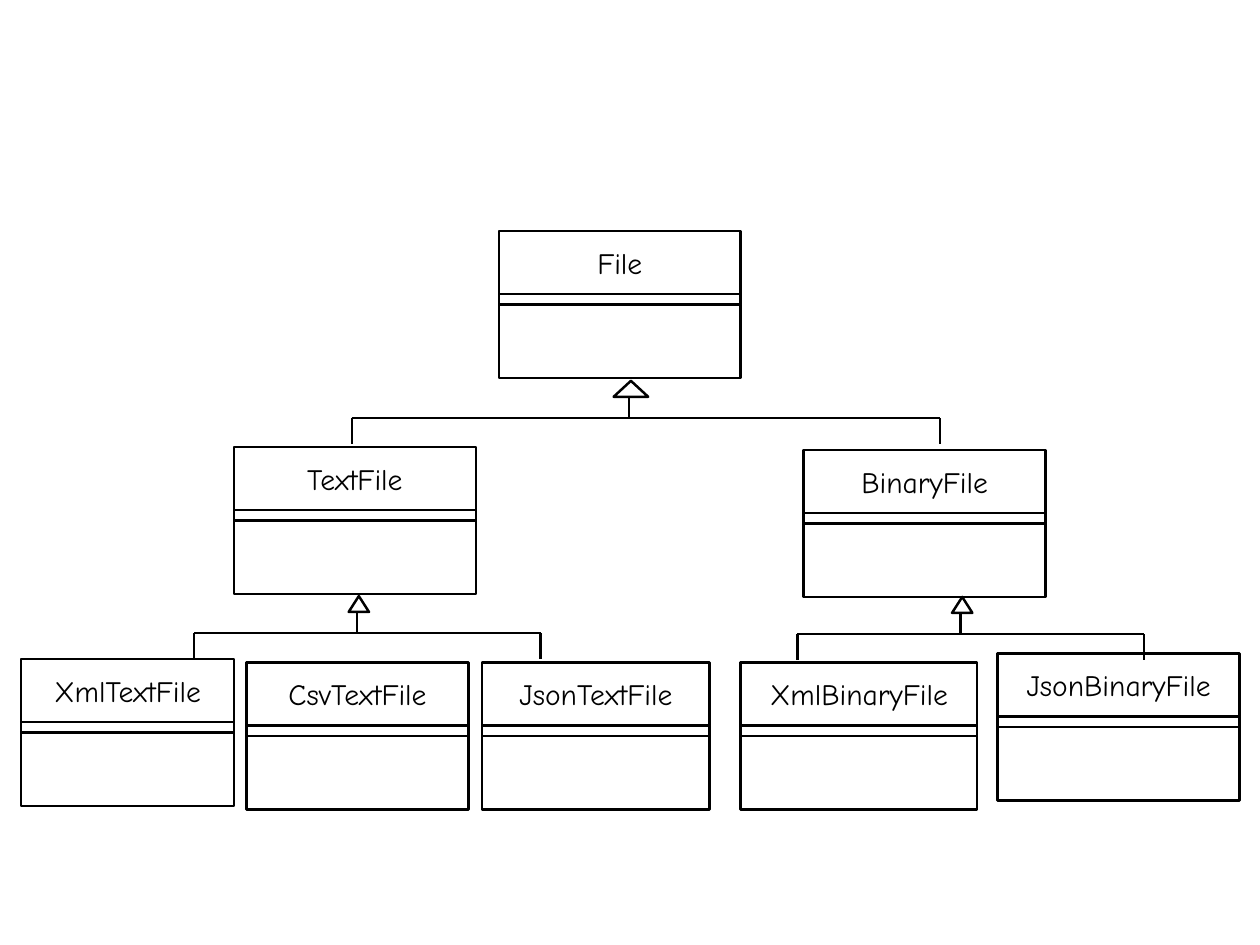
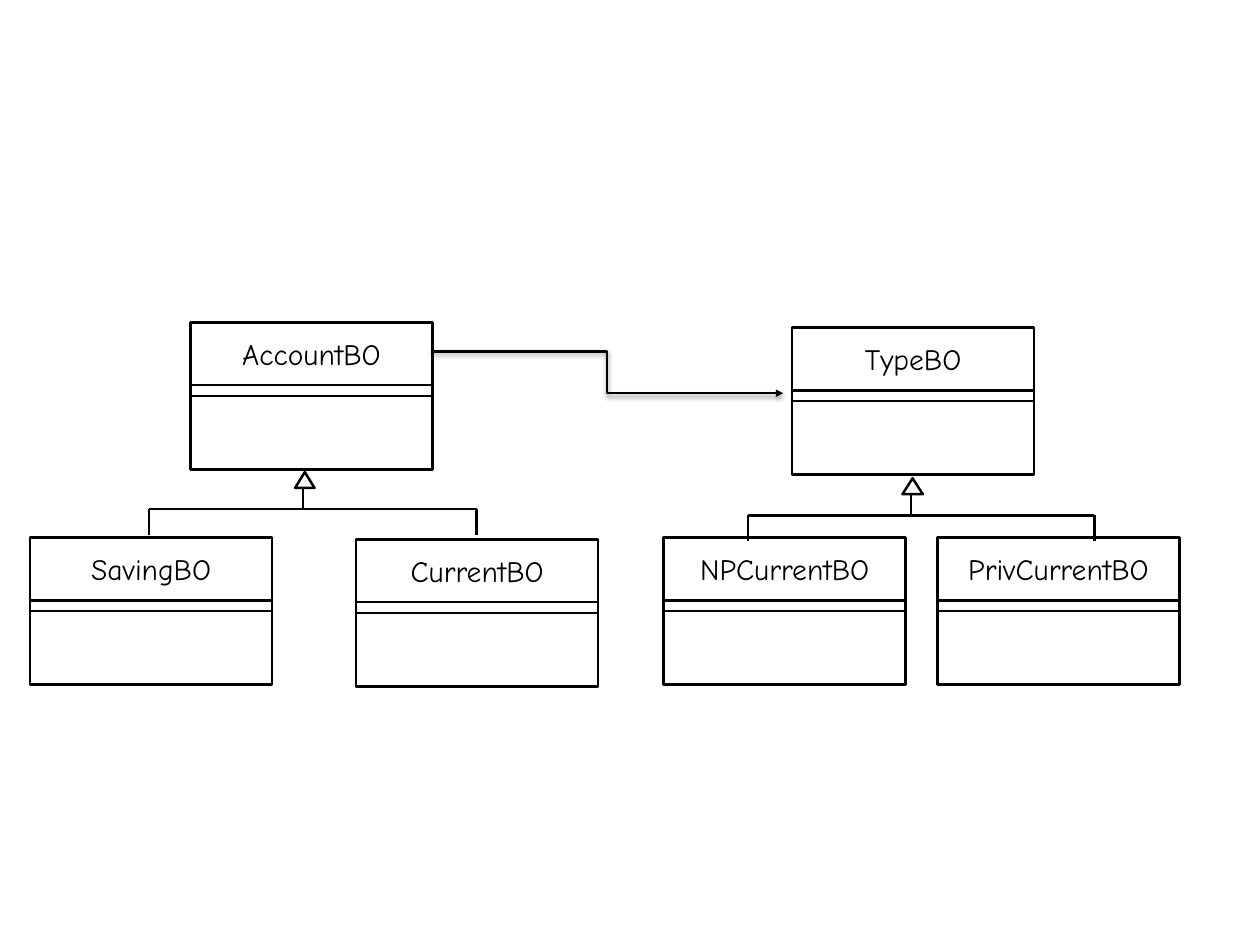
from dataclasses import dataclass

from lxml import etree
from pptx import Presentation
from pptx import util as u
from pptx.dml.color import RGBColor
from pptx.enum import shapes, text
from pptx.oxml.ns import qn


@dataclass(frozen=True)
class Theme:
    ink: RGBColor = RGBColor(0, 0, 0)
    paper: RGBColor = RGBColor(255, 255, 255)
    font: str = "Comic Neue"
    size: int = 24
    line: int = 2


# Content: lengths in px, 100 px to the inch
# classes: name, left, top, width
# forks: left end, right end, bar height, stem x, arrowhead width
# links: from x, from y, to x, to y
W, H = 1422, 1067
BOX_W = 273
SLIDES = [
    {
        "classes": [
            ("File", 563, 261, BOX_W),
            ("TextFile", 264, 505, BOX_W),
            ("BinaryFile", 907, 508, BOX_W),
            ("XmlTextFile", 24, 744, 240),
            ("CsvTextFile", 278, 748, 251),
            ("JsonTextFile", 544, 748, 257),
            ("XmlBinaryFile", 836, 748, 267),
            ("JsonBinaryFile", 1126, 738, BOX_W),
        ],
        "forks": [
            (397, 1061, 472, 710, 39),
            (219, 610, 715, 403, 23),
            (900, 1291, 716, 1084, 23),
        ],
        "links": [],
    },
    {
        "classes": [
            ("AccountBO", 215, 364, BOX_W),
            ("TypeBO", 894, 370, BOX_W),
            ("SavingBO", 34, 607, BOX_W),
            ("CurrentBO", 402, 609, BOX_W),
            ("NPCurrentBO", 749, 607, BOX_W),
            ("PrivCurrentBO", 1058, 607, BOX_W),
        ],
        "forks": [
            (168, 538, 575, 342, 22),
            (844, 1235, 582, 1028, 23),
        ],
        "links": [(486, 397, 884, 444)],
    },
]

# Parts of a class box from top to bottom, and of an inheritance fork
NAME_H, FIELDS_H, METHODS_H = 71, 12, 83
DROP, STEM, HEAD_H, HEAD_SHIFT = 29, 24, 18, 2
INSET = 7
T = Theme()


def px(n):
    return u.Emu(round(n * 9144))


def outline(sp):
    sp.line.color.rgb = T.ink
    sp.line.width = u.Pt(T.line)


def add_outlined(parent, kind, x, y, w, h):
    sp = parent.shapes.add_shape(kind, px(x), px(y), px(w), px(h))
    sp.shadow.inherit = False
    sp.fill.solid()
    sp.fill.fore_color.rgb = T.paper
    outline(sp)
    return sp


def add_line(parent, x1, y1, x2, y2, kind=shapes.MSO_CONNECTOR.STRAIGHT):
    cn = parent.shapes.add_connector(kind, px(x1), px(y1), px(x2), px(y2))
    outline(cn)
    effects = etree.SubElement(cn._element.spPr, qn("a:effectLst"))
    return cn, effects


def add_class(s, name, x, y, w):
    box = s.shapes.add_group_shape()
    for h, label in ((NAME_H, name), (FIELDS_H, ""), (METHODS_H, "")):
        sp = add_outlined(box, shapes.MSO_SHAPE.RECTANGLE, x, y, w, h)
        if label:
            write_name(sp.text_frame, label)
        y += h


def write_name(tf, label):
    tf.text = label
    tf.word_wrap = True
    tf.vertical_anchor = text.MSO_ANCHOR.MIDDLE
    tf.margin_left = tf.margin_right = tf.margin_top = tf.margin_bottom = px(INSET)
    p = tf.paragraphs[0]
    p.alignment = text.PP_ALIGN.CENTER
    font = p.runs[0].font
    font.name, font.size, font.color.rgb = T.font, u.Pt(T.size), T.ink


def add_fork(s, left, right, y, stem, head_w):
    fork = s.shapes.add_group_shape()
    add_line(fork, left, y, right, y)
    for x in (left, right):
        add_line(fork, x, y, x, y + DROP)
    add_line(fork, stem, y, stem, y - STEM)
    add_outlined(fork, shapes.MSO_SHAPE.ISOSCELES_TRIANGLE,
                 stem + HEAD_SHIFT - head_w / 2, y - STEM - HEAD_H, head_w, HEAD_H)


def add_link(s, x1, y1, x2, y2):
    cn, effects = add_line(s, x1, y1, x2, y2, shapes.MSO_CONNECTOR.ELBOW)
    # arrowhead
    etree.SubElement(cn.line._get_or_add_ln(), qn("a:tailEnd"), type="triangle")
    # soft shadow below
    shadow = etree.SubElement(effects, qn("a:outerShdw"), blurRad=str(u.Pt(4)),
                              dist=str(u.Pt(2)), dir="5400000", rotWithShape="0")
    color = etree.SubElement(shadow, qn("a:srgbClr"), val=str(T.ink))
    etree.SubElement(color, qn("a:alpha"), val="38000")


def main():
    prs = Presentation()
    prs.slide_width, prs.slide_height = px(W), px(H)
    blank = prs.slide_layouts[6]
    for diagram in SLIDES:
        s = prs.slides.add_slide(blank)
        for key, add in (("classes", add_class), ("forks", add_fork), ("links", add_link)):
            for item in diagram[key]:
                add(s, *item)
    prs.save("out.pptx")


if __name__ == "__main__":
    main()
